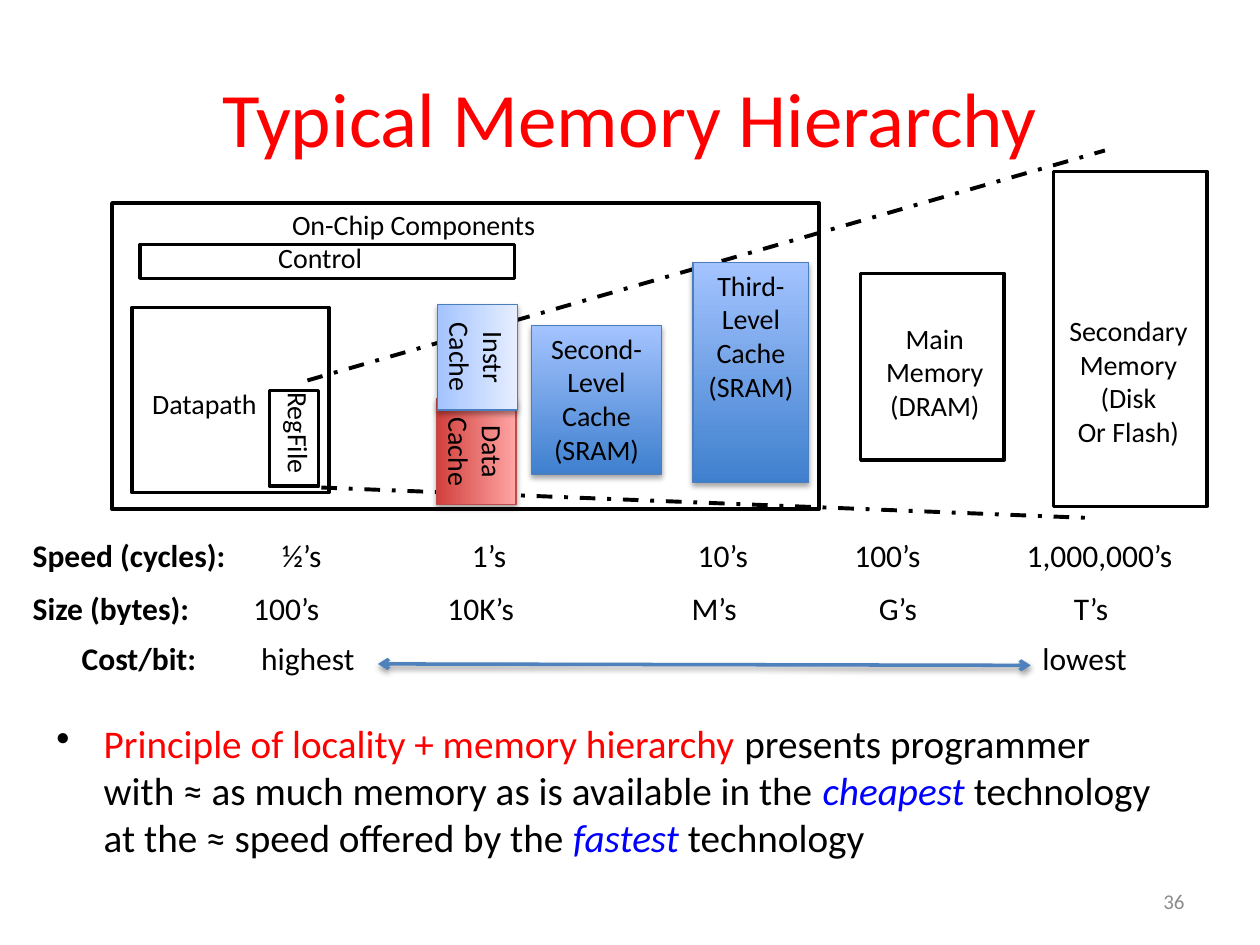
from dataclasses import dataclass

from lxml import etree
from pptx import Presentation
from pptx.dml.color import RGBColor
from pptx.enum import dml, shapes, text
from pptx.oxml.ns import qn
from pptx.util import Pt


@dataclass(frozen=True)
class Theme:
    font: str = "Calibri"
    black: str = "000000"
    red: str = "FF0000"
    blue: str = "0000FF"
    grey: str = "8C8C8C"
    arrow: str = "4F81BD"
    blue_edge: str = "4B7EBC"
    red_edge: str = "BF4C48"
    deep_blue: tuple = ("3F80CE", "A4C4FF")
    pale_blue: tuple = ("A4C4FF", "E6EEFF")
    warm_red: tuple = ("D1403C", "FFA6A5")
    title: float = 44
    body: float = 22.4
    row: float = 18
    label: float = 16
    number: float = 12


@dataclass(frozen=True)
class Box:
    x: float
    y: float
    w: float
    h: float

    def inner(self, x, y, w, h):
        return Box(self.x + x, self.y + y, w, h)

    def lengths(self):
        return Pt(self.x), Pt(self.y), Pt(self.w), Pt(self.h)


T = Theme()
CENTER = text.PP_ALIGN.CENTER
LEFT = text.PP_ALIGN.LEFT


def rgb(value):
    return RGBColor.from_string(value)


def style(font, size, color):
    font.name, font.size = T.font, Pt(size)
    font.color.rgb = rgb(color)


def write(sp, lines, size, color=T.black, align=CENTER, wrap=True,
          anchor=text.MSO_ANCHOR.TOP, insets=(7.2, 3.6, 7.2, 3.6)):
    tf = sp.text_frame
    tf.word_wrap, tf.vertical_anchor = wrap, anchor
    tf.margin_left, tf.margin_top, tf.margin_right, tf.margin_bottom = map(Pt, insets)
    tf.text = lines
    for p in tf.paragraphs:
        p.alignment = align
        style(p.font, size, color)
    return tf


def add_text(s, box, lines, size, **options):
    sp = s.shapes.add_textbox(*box.lengths())
    return sp, write(sp, lines, size, **options)


def add_frame(s, box):
    sp = s.shapes.add_shape(shapes.MSO_SHAPE.RECTANGLE, *box.lengths())
    sp.shadow.inherit = False
    sp.fill.background()
    sp.line.color.rgb, sp.line.width = rgb(T.black), Pt(2)


def add_cache(s, box, lines, colors, edge, rotation=0, **options):
    sp = s.shapes.add_shape(shapes.MSO_SHAPE.RECTANGLE, *box.lengths())
    sp.rotation = rotation
    sp.fill.gradient()
    sp.fill.gradient_angle = 90
    for stop, color, position in zip(sp.fill.gradient_stops, colors, (0, 1)):
        stop.color.rgb, stop.position = rgb(color), position
    sp.line.color.rgb, sp.line.width = rgb(edge), Pt(0.75)
    write(sp, lines, T.label, **options)


def add_line(s, box, start, end, color, width):
    points = (box.x + start[0], box.y + start[1], box.x + end[0], box.y + end[1])
    line = s.shapes.add_connector(shapes.MSO_CONNECTOR.STRAIGHT, *map(Pt, points))
    line.line.color.rgb, line.line.width = rgb(color), Pt(width)
    return line


def add_title(s, box):
    add_text(s, box, "Typical Memory Hierarchy", T.title, color=T.red,
             anchor=text.MSO_ANCHOR.MIDDLE)


def add_hierarchy(s, box):
    frames = [
        (0, 30, 404, 175),
        (16, 53.7, 214, 19.4),
        (11.6, 89.7, 112.3, 105.8),
        (90.1, 137.2, 28, 54.7),
        (427.8, 70.2, 82, 106.6),
        (537.9, 11.9, 87.8, 191.5),
    ]
    for frame in frames:
        add_frame(s, box.inner(*frame))

    labels = [
        ("On-Chip Components", (95.8, 29.2, 169.2, 26), LEFT, 0),
        ("Control", (87.9, 47.9, 65.5, 26), LEFT, 0),
        ("Datapath", (15.9, 131.4, 79.2, 26), LEFT, 0),
        ("RegFile", (67, 158.1, 80, 26), LEFT, 90),
        ("Main\nMemory\n(DRAM)", (434.2, 94, 72, 65), CENTER, 0),
        ("Secondary\nMemory\n(Disk\nOr Flash)", (539.4, 89.7, 82.8, 85), CENTER, 0),
    ]
    for label, place, align, rotation in labels:
        sp, _ = add_text(s, box.inner(*place), label, T.label, align=align,
                         wrap=rotation != 0)
        sp.rotation = rotation

    for start, end in [((111.7, 131.4), (567.4, 0)), ((119.6, 192.6), (555.9, 209.9))]:
        line = add_line(s, box, start, end, T.black, 2.25)
        line.line.dash_style = dml.MSO_LINE.DASH_DOT
        etree.SubElement(line._element.spPr, qn("a:effectLst"))

    add_cache(s, box.inner(239.8, 99.8, 74.2, 85), "Second-Level\nCache\n(SRAM)",
              T.deep_blue, T.blue_edge)
    add_cache(s, box.inner(332, 63.8, 66.2, 126), "Third-Level\nCache\n(SRAM)",
              T.deep_blue, T.blue_edge, insets=(7.2, 3.6, 7.2, 0))
    add_cache(s, box.inner(177.9, 149.4, 60.5, 45.4), "Data\nCache",
              T.warm_red, T.red_edge, rotation=90, wrap=False)
    add_cache(s, box.inner(178.6, 95.4, 60.5, 45.4), "Instr\nCache",
              T.pale_blue, T.blue_edge, rotation=90, wrap=False)


def add_row(s, box, label, cells):
    _, tf = add_text(s, box, "", T.row, align=LEFT, insets=(5, 2.2, 5, 2.2))
    p = tf.paragraphs[0]
    p.line_spacing = 0.85
    r = p.add_run()
    r.text, r.font.bold = label, True
    p.add_run().text = "".join("\t" + value for value, _ in cells)
    stops = etree.Element(qn("a:tabLst"))
    for _, position in cells:
        etree.SubElement(stops, qn("a:tab"), pos=str(Pt(position)), algn="l")
    p._p.get_or_add_pPr().find(qn("a:defRPr")).addprevious(stops)


def add_comparison(s, box):
    rows = [
        (0, 0, "Speed (cycles):", [("½’s", 142.5), ("1’s", 251), ("10’s", 380),
                                   ("100’s", 469.5), ("1,000,000’s", 568)]),
        (0, 30.3, "Size (bytes):", [("100’s", 126), ("10K’s", 237), ("M’s", 376.5),
                                    ("G’s", 483.5), ("T’s", 595)]),
        (28, 59.1, "Cost/bit:", [("highest", 102.5), ("lowest", 549)]),
    ]
    for x, y, label, cells in rows:
        add_row(s, box.inner(x, y, box.w - x, 23), label, cells)
    line = add_line(s, box, (202.3, 72), (575.3, 72.8), T.arrow, 2)
    ln = line.line._get_or_add_ln()
    for end in ("a:headEnd", "a:tailEnd"):
        etree.SubElement(ln, qn(end), type="arrow")


def add_principle(s, box):
    _, tf = add_text(s, box, "", T.body, align=LEFT)
    p = tf.paragraphs[0]
    p.space_before = Pt(4.5)
    pPr = p._p.get_or_add_pPr()
    pPr.set("marL", str(Pt(27)))
    pPr.set("indent", str(-Pt(27)))
    bullet = etree.Element(qn("a:buChar"), char="•")
    pPr.find(qn("a:defRPr")).addprevious(bullet)
    color = etree.Element(qn("a:buClr"))
    etree.SubElement(color, qn("a:srgbClr"), val=T.black)
    bullet.addprevious(color)
    runs = [
        ("Principle of locality + memory hierarchy ", T.red),
        ("presents programmer with ≈ as much memory as is available in the ", T.black),
        ("cheapest ", T.blue),
        ("technology at the ≈ speed offered by the ", T.black),
        ("fastest ", T.blue),
        ("technology", T.black),
    ]
    for words, shade in runs:
        r = p.add_run()
        r.text, r.font.italic = words, shade == T.blue
        style(r.font, T.body, shade)


def add_number(s, box):
    add_text(s, box, "36", T.number, color=T.grey, align=text.PP_ALIGN.RIGHT,
             anchor=text.MSO_ANCHOR.MIDDLE)


def main():
    prs = Presentation()
    prs.slide_width, prs.slide_height = Pt(720), Pt(540)
    s = prs.slides.add_slide(prs.slide_layouts[6])
    add_title(s, Box(36, 21.6, 648, 90))
    add_hierarchy(s, Box(64, 86, 626, 210))
    add_comparison(s, Box(13.7, 307.4, 675, 82))
    add_principle(s, Box(25.2, 407.5, 648, 94.3))
    add_number(s, Box(516.2, 500.4, 167.8, 28.8))
    prs.save("out.pptx")


if __name__ == "__main__":
    main()
